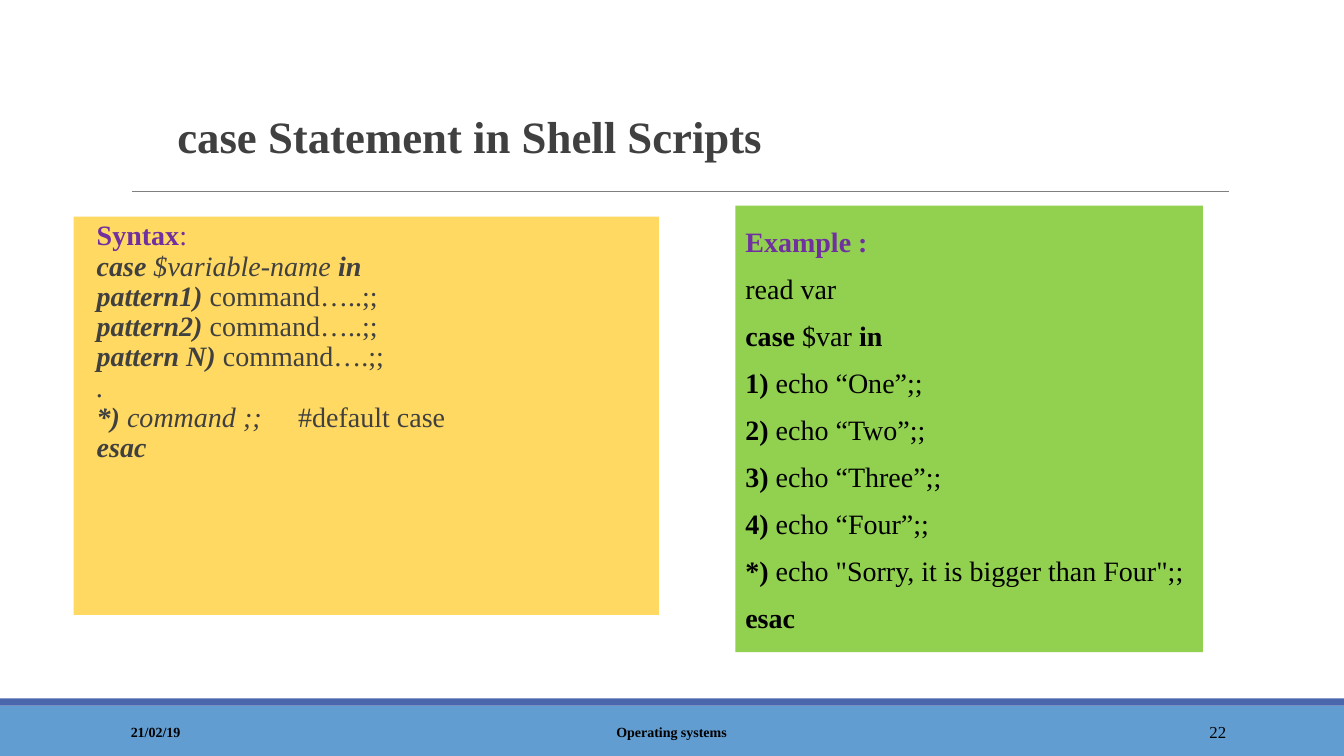
"""Build a slide on the case statement in shell scripts."""
from lxml import etree
from pptx import Presentation
from pptx.dml.color import RGBColor
from pptx.enum.shapes import MSO_CONNECTOR, MSO_SHAPE
from pptx.enum.text import MSO_ANCHOR, MSO_AUTO_SIZE, PP_ALIGN
from pptx.oxml.ns import qn
from pptx.util import Pt

PX = 9144
FONT = "Times New Roman"
RECTANGLE = MSO_SHAPE.RECTANGLE
STRAIGHT = MSO_CONNECTOR.STRAIGHT
NO_FIT = MSO_AUTO_SIZE.NONE
TOP, MIDDLE, BOTTOM = MSO_ANCHOR.TOP, MSO_ANCHOR.MIDDLE, MSO_ANCHOR.BOTTOM
LEFT, CENTER, RIGHT = PP_ALIGN.LEFT, PP_ALIGN.CENTER, PP_ALIGN.RIGHT
COLORS = {
    "footer": "629DD1", "stripe": "4A66AC", "rule": "808080",
    "syntax": "FFD961", "example": "92D050", "heading": "7030A0",
    "gray": "404040", "black": "000000",
}
COMMENT_TAB = 304

SYNTAX = [
    [("Syntax", "b"), (":", "")],
    [("case", "bi"), (" $variable-name ", "i"), ("in", "bi")],
    [("pattern1) ", "bi"), ("command…..;;", "")],
    [("pattern2) ", "bi"), ("command…..;;", "")],
    [("pattern N) ", "bi"), ("command….;;", "")],
    [(".", "i")],
    [("*)", "bi"), (" command ;;", "i"), ("\t#default case", "")],
    [("esac", "bi")],
]
EXAMPLE = [
    [("Example :", "b")],
    [("read var", "")],
    [("case", "b"), (" $var ", ""), ("in", "b")],
    *[[(f"{number}) ", "b"), (f"echo “{word}”;;", "")]
      for number, word in enumerate(["One", "Two", "Three", "Four"], 1)],
    [("*)", "b"), (' echo "Sorry, it is bigger than Four";;', "")],
    [("esac", "b")],
]


def rgb(name):
    """Return the named colour."""
    return RGBColor.from_string(COLORS[name])


def place(shape, left, top, width, height):
    """Move and size a shape in px."""
    shape.left, shape.top = left * PX, top * PX
    shape.width, shape.height = width * PX, height * PX


def paint(shape, color):
    """Give a shape a plain fill."""
    shape.fill.solid()
    shape.fill.fore_color.rgb = rgb(color)


def add_block(page, color, *frame):
    """Add a plain filled rectangle."""
    block = page.shapes.add_shape(RECTANGLE, *[length * PX for length in frame])
    block.shadow.inherit = False
    paint(block, color)
    block.line.fill.background()
    return block


def add_rule(page, left, right, y):
    """Add the thin line under the title."""
    rule = page.shapes.add_connector(STRAIGHT, left * PX, y * PX, right * PX, y * PX)
    rule.line.color.rgb = rgb("rule")
    rule.line.width = Pt(0.5)
    etree.SubElement(rule.element.spPr, qn("a:effectLst"))


def set_up_frame(shape, anchor, inset=10):
    """Set wrapping, anchor and margins, and return the text frame."""
    frame = shape.text_frame
    frame.word_wrap = True
    frame.auto_size = NO_FIT
    frame.vertical_anchor = anchor
    frame.margin_left = frame.margin_right = inset * PX
    frame.margin_top = frame.margin_bottom = 5 * PX
    return frame


def remove_bullet(para, tab):
    """Drop the bullet and indent of a paragraph and set one tab stop."""
    properties = para._p.get_or_add_pPr()
    properties.set("marL", "0")
    properties.set("indent", "0")
    etree.SubElement(properties, qn("a:buNone"))
    stops = etree.SubElement(properties, qn("a:tabLst"))
    etree.SubElement(stops, qn("a:tab"), pos=str(tab * PX), algn="l")


def format_para(para, size, color, spacing=1.0, align=LEFT):
    """Set font, colour, spacing and alignment of a paragraph."""
    para.alignment = align
    para.line_spacing = spacing
    para.space_before = Pt(0)
    para.font.name = FONT
    para.font.size = Pt(size)
    para.font.color.rgb = rgb(color)


def write_code(frame, lines, color, spacing):
    """Write code lines of styled spans under a coloured heading."""
    for index, line in enumerate(lines):
        para = frame.add_paragraph() if index else frame.paragraphs[0]
        remove_bullet(para, COMMENT_TAB)
        format_para(para, 20, color if index else "heading", spacing)
        for text, style in line:
            span = para.add_run()
            span.text = text
            span.font.bold = "b" in style
            span.font.italic = "i" in style


def write_line(shape, text, size, color, anchor, bold, align=LEFT, spacing=1.0):
    """Write one uniform line into a shape."""
    para = set_up_frame(shape, anchor).paragraphs[0]
    para.text = text
    format_para(para, size, color, spacing, align)
    para.font.bold = bold


def add_footer(page, text, left, width, size, bold, align):
    """Add one footer text."""
    box = page.shapes.add_textbox(left * PX, 706 * PX, width * PX, 40 * PX)
    write_line(box, text, size, "black", MIDDLE, bold, align)


def main():
    """Build and save the deck."""
    deck = Presentation()
    deck.slide_width, deck.slide_height = 1334 * PX, 750 * PX
    page = deck.slides.add_slide(deck.slide_layouts[1])

    add_block(page, "footer", 0, 700, 1334, 50)
    add_block(page, "stripe", 0, 693, 1334, 7)
    add_rule(page, 131, 1220, 190)

    title = page.shapes.title
    place(title, 166, 85, 1100, 81)
    write_line(title, "case Statement in Shell Scripts", 32, "gray", BOTTOM, True,
               spacing=0.85)

    syntax = page.placeholders[1]
    place(syntax, 73, 215, 581, 395)
    paint(syntax, "syntax")
    write_code(set_up_frame(syntax, TOP, 23), SYNTAX, "gray", 0.9)

    example = add_block(page, "example", 730, 204, 464, 443)
    write_code(set_up_frame(example, TOP), EXAMPLE, "black", 1.4)

    add_footer(page, "21/02/19", 120, 270, 10, True, LEFT)
    add_footer(page, "Operating systems", 403, 527, 10, True, CENTER)
    add_footer(page, "22", 1083, 144, 12, False, RIGHT)

    deck.save("out.pptx")


if __name__ == "__main__":
    main()
